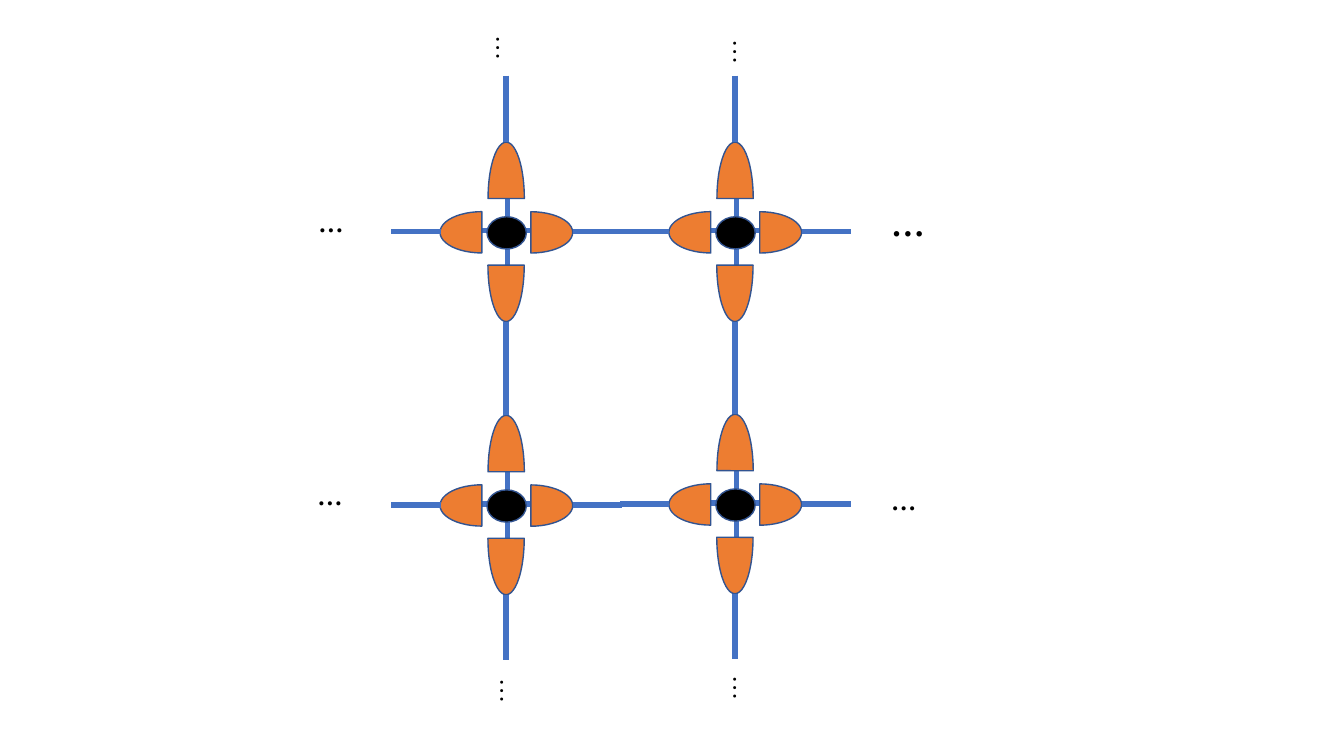
from typing import Any, NamedTuple

from lxml import etree
from pptx import Presentation
from pptx import util as u
from pptx.dml.color import RGBColor
from pptx.enum import shapes, text
from pptx.oxml import ns

WIDTH, HEIGHT = u.Inches(13.33), u.Inches(7.5)
COLUMNS, ROWS = 1333, 750
ORANGE, OUTLINE, BLUE, BLACK = "ED7D31", "325491", "4472C4", "000000"


class Site(NamedTuple):
    column: float
    row: float


class Lobe(NamedTuple):
    dx: float
    dy: float
    length: float
    breadth: float
    rotation: int


class Bond(NamedTuple):
    x1: float
    y1: float
    x2: float
    y2: float


class Ellipsis(NamedTuple):
    left: float
    top: float
    rotation: int = 0
    bold: bool = True
    size: int = 18
    width: float = 45
    height: float = 40


SITES = [Site(502, 230), Site(729, 230), Site(729, 500), Site(502, 501)]

BONDS = [
    Bond(-24, -1, 25, -1),
    Bond(-114, 0, -65, 0),
    Bond(66, 0, 115, 0),
    Bond(1.5, -33, 1.5, 33),
    Bond(0, -155, 0, -89),
    Bond(0, 89, 0, 154),
]

LOBES = [
    Lobe(-24, 0.5, 83, 41, 0),
    Lobe(24.5, 0.5, 83, 41, 180),
    Lobe(0, -33, 112, 36, 90),
    Lobe(0, 33, 112, 36, 270),
]

CONTINUATIONS = [
    Ellipsis(874, 196, size=24, width=54, height=50),
    Ellipsis(874, 477),
    Ellipsis(306, 201),
    Ellipsis(305, 472),
    Ellipsis(715, 663, rotation=90, bold=False),
    Ellipsis(484, 666, rotation=90, bold=False),
    Ellipsis(715, 32, rotation=90, bold=False),
    Ellipsis(480, 28, rotation=90, bold=False),
]


def across(columns: float) -> int:
    return round(WIDTH * columns / COLUMNS)


def down(rows: float) -> int:
    return round(HEIGHT * rows / ROWS)


def rgb(color: str) -> RGBColor:
    return RGBColor.from_string(color)


def draw_solid(group: Any, kind: Any, x: float, y: float, width: float,
               height: float, color: str) -> Any:
    solid = group.shapes.add_shape(
        kind, across(x - width / 2), down(y - height / 2), across(width), down(height))
    solid.shadow.inherit = False
    solid.fill.solid()
    solid.fill.fore_color.rgb = rgb(color)
    solid.line.color.rgb = rgb(OUTLINE)
    solid.line.width = u.Pt(1)
    return solid


def draw_bond(group: Any, site: Site, bond: Bond) -> None:
    line = group.shapes.add_connector(
        shapes.MSO_CONNECTOR.STRAIGHT,
        across(site.column + bond.x1), down(site.row + bond.y1),
        across(site.column + bond.x2), down(site.row + bond.y2))
    line.line.color.rgb = rgb(BLUE)
    line.line.width = u.Pt(3.75)
    etree.SubElement(line._element.spPr, ns.qn("a:effectLst"))


def draw_lobe(group: Any, site: Site, lobe: Lobe) -> None:
    half = draw_solid(group, shapes.MSO_SHAPE.PIE, site.column + lobe.dx,
                      site.row + lobe.dy, lobe.length, lobe.breadth, ORANGE)
    half.adjustments[0], half.adjustments[1] = 54.09, 162
    half.rotation = lobe.rotation


def draw_site(lattice: Any, site: Site) -> None:
    group = lattice.shapes.add_group_shape()
    for bond in BONDS[:1] + BONDS[3:4]:
        draw_bond(group, site, bond)
    for lobe in LOBES:
        draw_lobe(group, site, lobe)
    for bond in BONDS[1:3] + BONDS[4:]:
        draw_bond(group, site, bond)
    draw_solid(group, shapes.MSO_SHAPE.OVAL, site.column + 0.5, site.row + 1, 39, 32, BLACK)


def write(frame: Any, words: str, *, size: int, bold: bool, color: str = BLACK,
          font: str = "Times New Roman") -> None:
    frame.word_wrap = False
    frame.auto_size = text.MSO_AUTO_SIZE.SHAPE_TO_FIT_TEXT
    run = frame.paragraphs[0].add_run()
    run.text = words
    run.font.size = u.Pt(size)
    run.font.bold = bold
    run.font.name = font
    run.font.color.rgb = rgb(color)


def draw_continuation(lattice: Any, dots: Ellipsis) -> None:
    box = lattice.shapes.add_textbox(
        across(dots.left), down(dots.top), across(dots.width), down(dots.height))
    box.rotation = dots.rotation
    write(box.text_frame, "…", size=dots.size, bold=dots.bold)


deck = Presentation()
deck.slide_width, deck.slide_height = WIDTH, HEIGHT
slide = deck.slides.add_slide(deck.slide_layouts[6])
lattice = slide.shapes.add_group_shape()
for site in SITES:
    draw_site(lattice, site)
for dots in CONTINUATIONS:
    draw_continuation(lattice, dots)
deck.save("out.pptx")
